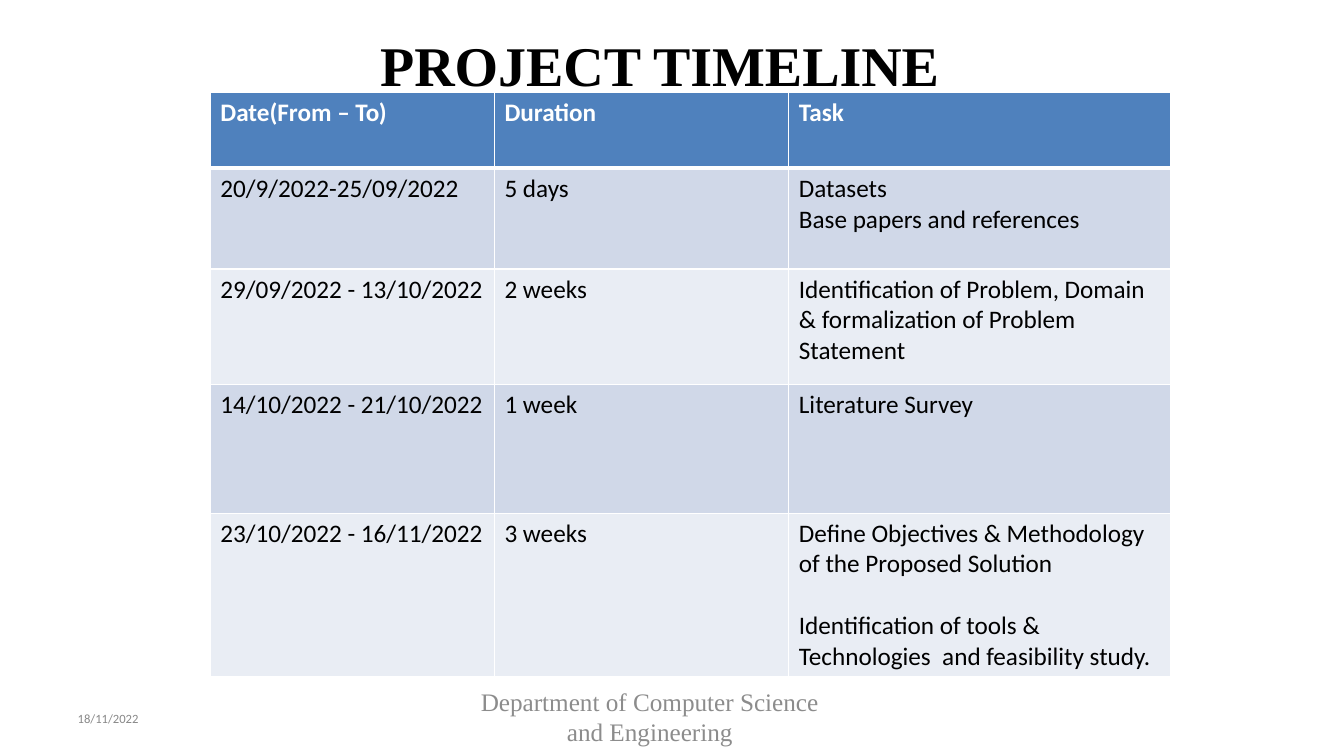
from lxml import etree
from pptx import Presentation
from pptx import util as u
from pptx.dml.color import RGBColor
from pptx.enum import text
from pptx.oxml import ns

# Content: each cell is a list of paragraphs
TITLE = ["PROJECT ", "TIMELINE"]
DATE = "18/11/2022"
DEPARTMENT = "Department of Computer Science and Engineering"
TIMELINE = [
    (["Date(From – To)"], ["Duration"], ["Task"]),
    (["20/9/2022-25/09/2022"], ["5 days"],
     ["Datasets", "Base papers and references"]),
    (["29/09/2022 - 13/10/2022"], ["2 weeks"],
     ["Identification of Problem, Domain & formalization of Problem Statement"]),
    (["14/10/2022 - 21/10/2022"], ["1 week"], ["Literature Survey"]),
    (["23/10/2022 - 16/11/2022"], ["3 weeks"],
     ["Define Objectives & Methodology of the Proposed Solution",
      "Identification of tools & Technologies  and feasibility study."]),
]
COLUMN_WIDTHS = [7.16, 7.42, 9.63]
ROW_HEIGHTS = [1.9, 2.54, 2.9, 3.25, 4.06]
LAST_ROW = len(TIMELINE) - 1

SERIF, SANS = "Times New Roman", "Calibri"
BLACK = RGBColor(0x00, 0x00, 0x00)
WHITE = RGBColor(0xFF, 0xFF, 0xFF)
DATE_GRAY = RGBColor(0x88, 0x88, 0x88)
FOOTER_GRAY = RGBColor(0x8C, 0x8C, 0x8C)
HEADER_BLUE = RGBColor(0x4F, 0x81, 0xBD)
BANDS = [RGBColor(0xE9, 0xED, 0xF4), RGBColor(0xD0, 0xD8, 0xE8)]


def add_run(paragraph, words, font_name, size, color, bold=False):
    run = paragraph.add_run()
    run.text = words
    run.font.name = font_name
    run.font.size = u.Pt(size)
    run.font.color.rgb = color
    run.font.bold = bold
    return run


def prepare_frame(shape):
    frame = shape.text_frame
    frame.word_wrap = True
    frame.auto_size = text.MSO_AUTO_SIZE.NONE
    frame.vertical_anchor = text.MSO_ANCHOR.TOP
    frame.margin_left = frame.margin_right = 0
    frame.margin_top = frame.margin_bottom = 0
    return frame


def add_footer(left, top, width, height, words, font_name, size, color, align):
    box = slide.shapes.add_textbox(u.Cm(left), u.Cm(top), u.Cm(width), u.Cm(height))
    paragraph = prepare_frame(box).paragraphs[0]
    paragraph.alignment = align
    add_run(paragraph, words, font_name, size, color)
    return paragraph


def add_borders(cell, widths):
    properties = cell._tc.get_or_add_tcPr()
    for side, points in widths.items():
        line = etree.SubElement(properties, ns.qn(f"a:ln{side}"), w=str(u.Pt(points)))
        fill = etree.SubElement(line, ns.qn("a:solidFill"))
        etree.SubElement(fill, ns.qn("a:srgbClr"), val=str(WHITE))


presentation = Presentation()
presentation.slide_width = u.Cm(33.87)
presentation.slide_height = u.Cm(19.05)
slide = presentation.slides.add_slide(presentation.slide_layouts[5])

# Title
title = slide.shapes.title
title.left, title.top = u.Cm(9.58), u.Cm(0.74)
title.width, title.height = u.Cm(14.71), u.Cm(1.75)
title_frame = prepare_frame(title)
title_frame.margin_top = u.Cm(0.03)
title_paragraph = title_frame.paragraphs[0]
title_paragraph.alignment = text.PP_ALIGN.LEFT
title_paragraph.space_before = u.Pt(0.8)
for words in TITLE:
    add_run(title_paragraph, words, SERIF, 40, BLACK, bold=True)

# Timeline table
table = slide.shapes.add_table(
    len(TIMELINE), len(COLUMN_WIDTHS), u.Cm(5.3), u.Cm(2.34),
    u.Cm(sum(COLUMN_WIDTHS)), u.Cm(sum(ROW_HEIGHTS))).table
for column, width in zip(table.columns, COLUMN_WIDTHS):
    column.width = u.Cm(width)
for row_index, (row, height) in enumerate(zip(table.rows, ROW_HEIGHTS)):
    row.height = u.Cm(height)
    is_header = row_index == 0
    for cell, lines in zip(row.cells, TIMELINE[row_index]):
        add_borders(cell, {"L": 1, "R": 1, "T": 3 if row_index == 1 else 1,
                           "B": 3 if is_header else 1})
        cell.fill.solid()
        cell.fill.fore_color.rgb = HEADER_BLUE if is_header else BANDS[row_index % 2]
        for line_index, words in enumerate(lines):
            frame = cell.text_frame
            paragraph = frame.add_paragraph() if line_index else frame.paragraphs[0]
            if line_index and row_index == LAST_ROW:
                paragraph.space_before = u.Pt(22)
            add_run(paragraph, words, SANS, 18, WHITE if is_header else BLACK, is_header)

# Footer
date_paragraph = add_footer(1.96, 17.96, 2.82, 0.33, DATE, SANS, 9, DATE_GRAY,
                            text.PP_ALIGN.LEFT)
date_paragraph.line_spacing = u.Pt(9.3)
add_footer(11.61, 17.3, 9.53, 1.55, DEPARTMENT, SERIF, 18, FOOTER_GRAY,
           text.PP_ALIGN.CENTER)

presentation.save("out.pptx")
